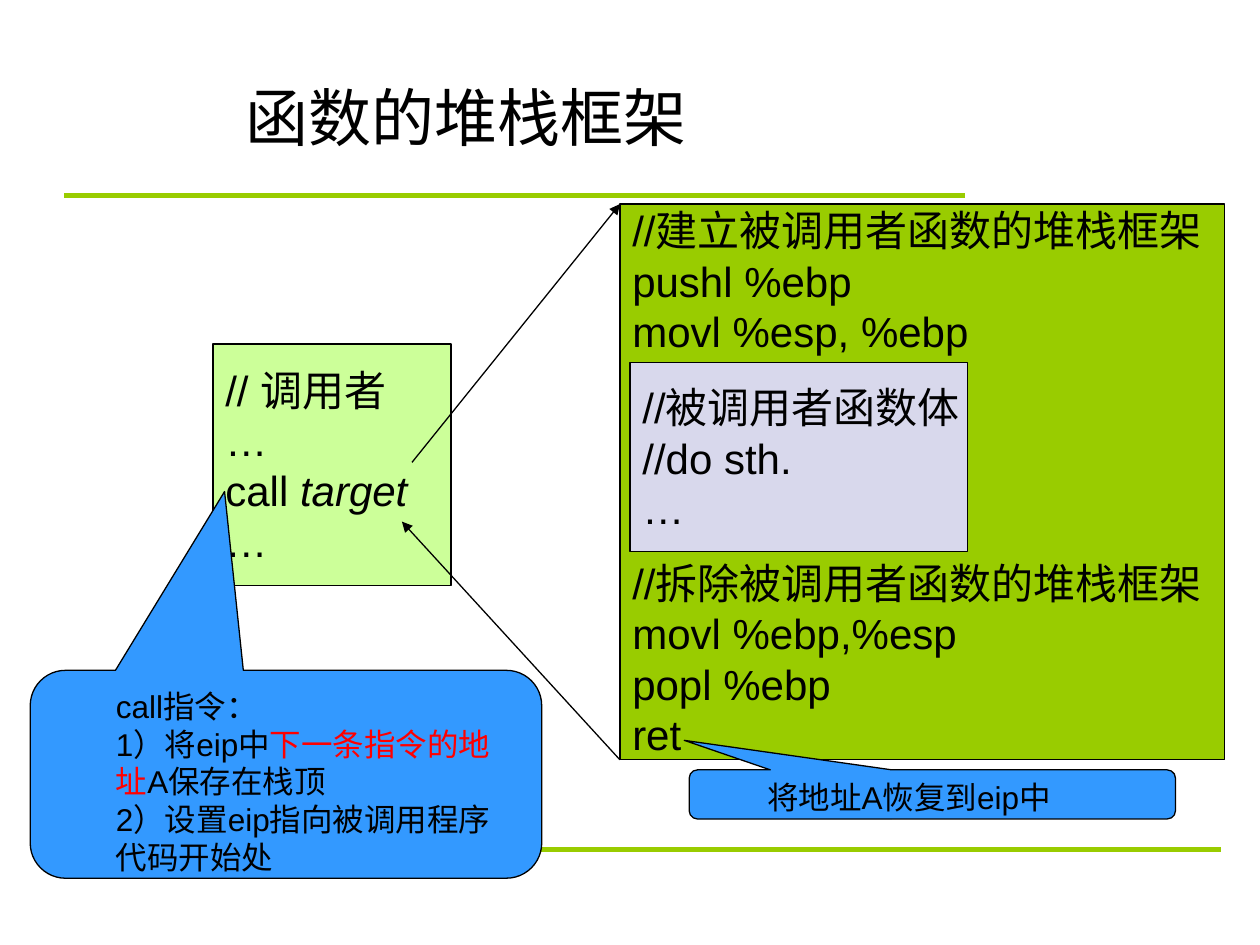
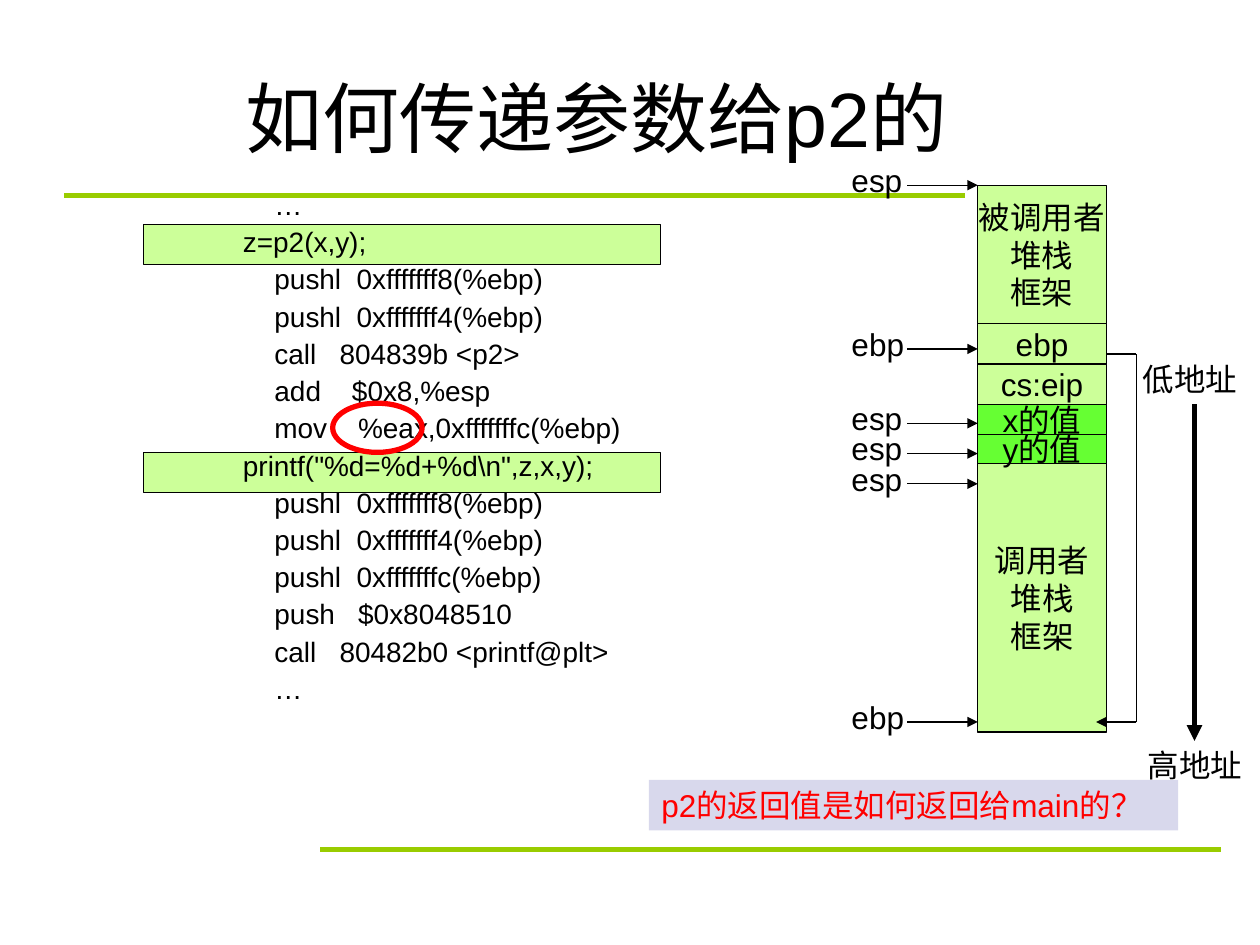
from dataclasses import dataclass
from itertools import pairwise
from typing import Any, NamedTuple

from lxml import etree
from pptx import Presentation
from pptx.dml.color import RGBColor
from pptx.enum.shapes import MSO_CONNECTOR, MSO_SHAPE
from pptx.enum.text import MSO_ANCHOR, MSO_AUTO_SIZE, PP_ALIGN
from pptx.oxml.ns import qn
from pptx.slide import Slide
from pptx.util import Inches, Pt

RECTANGLE = MSO_SHAPE.RECTANGLE
ELLIPSE = MSO_SHAPE.OVAL
CALLOUT = MSO_SHAPE.ROUNDED_RECTANGULAR_CALLOUT
STRAIGHT = MSO_CONNECTOR.STRAIGHT
TOP, MIDDLE = MSO_ANCHOR.TOP, MSO_ANCHOR.MIDDLE
LEFT, CENTER = PP_ALIGN.LEFT, PP_ALIGN.CENTER
FIT_SHAPE, FIXED = MSO_AUTO_SIZE.SHAPE_TO_FIT_TEXT, MSO_AUTO_SIZE.NONE

FONT = "Arial"
BLACK, RED = "000000", "FF0000"
GREEN, PALE_GREEN, BRIGHT_GREEN = "99CC00", "CCFF99", "66FF33"
BLUE, LAVENDER = "3399FF", "D8D8EC"


class Span(NamedTuple):
    text: str
    color: str = BLACK
    italic: bool = False


class Line(NamedTuple):
    spans: tuple[Span, ...]
    indent: float = 0
    space_before: float = 0
    line_spacing: float = 1.0


class Pointer(NamedTuple):
    register: str
    top: float


class StackCell(NamedTuple):
    height: float
    texts: tuple[str, ...]
    fill: str = PALE_GREEN


@dataclass(frozen=True)
class Panel:
    left: float
    top: float
    width: float
    height: float
    lines: tuple[Line, ...] = ()
    fill: str | None = None
    outline: str | None = BLACK
    weight: float = 0.75
    kind: Any = RECTANGLE
    size: float = 18
    align: Any = LEFT
    anchor: Any = MIDDLE
    wrap: bool = False
    fit: Any = FIXED
    adjustments: tuple[float, ...] = ()


@dataclass(frozen=True)
class Stroke:
    start: tuple[float, float]
    end: tuple[float, float]
    color: str = BLACK
    weight: float = 0.75
    arrow: bool = False


RULES = (
    Stroke((0.51, 1.55), (7.66, 1.55), GREEN, 3),
    Stroke((2.54, 6.74), (9.69, 6.74), GREEN, 3),
)

CODE = r"""
    …
z=p2(x,y);
    pushl  0xfffffff8(%ebp)
    pushl  0xfffffff4(%ebp)
    call   804839b <p2>
    add    $0x8,%esp
    mov    %eax,0xfffffffc(%ebp)
printf("%d=%d+%d\n",z,x,y);
    pushl  0xfffffff8(%ebp)
    pushl  0xfffffff4(%ebp)
    pushl  0xfffffffc(%ebp)
    push   $0x8048510
    call   80482b0 <printf@plt>
    …
""".strip("\n").split("\n")

STACK_LEFT, STACK_BOTTOM, STACK_WIDTH = 7.76, 5.81, 1.02
STACK_RIGHT = STACK_LEFT + STACK_WIDTH
STACK = (
    StackCell(1.1, ("被调用者", "堆栈", "框架")),
    StackCell(0.32, ("ebp",)),
    StackCell(0.32, ("cs:eip",)),
    StackCell(0.24, ("x的值",), BRIGHT_GREEN),
    StackCell(0.23, ("y的值",), BRIGHT_GREEN),
    StackCell(2.13, ("调用者", "堆栈", "框架")),
)
POINTERS = (
    Pointer("esp", 1.47),
    Pointer("ebp", 2.77),
    Pointer("esp", 3.36),
    Pointer("esp", 3.6),
    Pointer("esp", 3.84),
    Pointer("ebp", 5.73),
)
SAVED_EBP_ROUTE = ((STACK_RIGHT, 2.81), (9.02, 2.81), (9.02, 5.73), (8.7, 5.73))


def rgb(value: str) -> RGBColor:
    return RGBColor.from_string(value)


def plain(*texts: str, color: str = BLACK, indent: float = 0) -> tuple[Line, ...]:
    return tuple(Line((Span(text, color),), indent) for text in texts)


def apply(target: Any, values: dict[str, Any]) -> None:
    for name, value in values.items():
        setattr(target, name, value)


def write_lines(shape: Any, panel: Panel) -> None:
    frame = shape.text_frame
    apply(frame, {
        "word_wrap": panel.wrap,
        "auto_size": panel.fit,
        "vertical_anchor": panel.anchor,
    })
    for index, line in enumerate(panel.lines):
        paragraph = frame.add_paragraph() if index else frame.paragraphs[0]
        apply(paragraph, {
            "alignment": panel.align,
            "space_before": Pt(line.space_before),
            "line_spacing": line.line_spacing,
        })
        if line.indent:
            properties = paragraph._p.get_or_add_pPr()
            properties.set("marL", str(Inches(line.indent)))
            properties.set("indent", "0")
        for span in line.spans:
            run = paragraph.add_run()
            run.text = span.text
            apply(run.font, {"name": FONT, "size": Pt(panel.size), "italic": span.italic})
            run.font.color.rgb = rgb(span.color)


def draw_panel(slide: Slide, panel: Panel) -> None:
    box = [Inches(n) for n in (panel.left, panel.top, panel.width, panel.height)]
    if panel.kind is None:
        shape = slide.shapes.add_textbox(*box)
    else:
        shape = slide.shapes.add_shape(panel.kind, *box)
        shape.shadow.inherit = False
        for index, value in enumerate(panel.adjustments):
            shape.adjustments[index] = value
        if panel.fill:
            shape.fill.solid()
            shape.fill.fore_color.rgb = rgb(panel.fill)
        else:
            shape.fill.background()
        if panel.outline:
            shape.line.color.rgb = rgb(panel.outline)
            shape.line.width = Pt(panel.weight)
        else:
            shape.line.fill.background()
    if panel.lines:
        write_lines(shape, panel)


def draw_stroke(slide: Slide, stroke: Stroke) -> None:
    ends = [Inches(n) for n in (*stroke.start, *stroke.end)]
    connector = slide.shapes.add_connector(STRAIGHT, *ends)
    connector.line.color.rgb = rgb(stroke.color)
    connector.line.width = Pt(stroke.weight)
    properties = connector._element.spPr
    if stroke.arrow:
        etree.SubElement(properties.find(qn("a:ln")), qn("a:tailEnd"), type="triangle")
    etree.SubElement(properties, qn("a:effectLst"))


def draw_label(slide: Slide, text: str, left: float, top: float, width: float) -> None:
    draw_panel(slide, Panel(left, top, width, 0.4, plain(text), kind=None,
                            anchor=TOP, fit=FIT_SHAPE))


def add_titled_slide(presentation: Any, title: str, size: float) -> Slide:
    slide = presentation.slides.add_slide(presentation.slide_layouts[6])
    for rule in RULES:
        draw_stroke(slide, rule)
    draw_panel(slide, Panel(1.85, 0.3, 7.65, 1.25, plain(title), kind=None,
                            size=size, wrap=True))
    return slide


def build_frame_slide(presentation: Any) -> None:
    slide = add_titled_slide(presentation, "函数的堆栈框架", 36)
    caller = (
        *plain("// 调用者", "…"),
        Line((Span("call "), Span("target", italic=True))),
        *plain("…"),
    )
    callee = (
        *plain("//建立被调用者函数的堆栈框架", "pushl %ebp", "movl %esp, %ebp"),
        Line((Span("//拆除被调用者函数的堆栈框架"),), space_before=115),
        *plain("movl %ebp,%esp", "popl %ebp", "ret"),
    )
    body = plain("//被调用者函数体", "//do sth.", "…")
    call_steps = (
        *plain("call指令：", indent=0.5),
        Line((Span("1）将eip中"), Span("下一条指令的地址", RED), Span("A保存在栈顶")), 0.5),
        *plain("2）设置eip指向被调用程序代码开始处", indent=0.5),
    )
    return_step = plain("将地址A恢复到eip中", indent=0.5)

    draw_panel(slide, Panel(1.69, 2.73, 1.89, 1.92, caller, PALE_GREEN, size=24))
    draw_panel(slide, Panel(4.92, 1.62, 4.8, 4.41, callee, GREEN, size=24))
    draw_panel(slide, Panel(5, 2.88, 2.68, 1.5, body, LAVENDER, size=24))
    draw_stroke(slide, Stroke((3.27, 3.67), (4.92, 1.62), arrow=True))
    draw_stroke(slide, Stroke((4.92, 6.03), (3.19, 4.14), arrow=True))
    draw_panel(slide, Panel(0.24, 5.32, 4.06, 1.65, call_steps, BLUE, kind=CALLOUT,
                            anchor=TOP, wrap=True, adjustments=(-0.12, -1.36, 0.17)))
    draw_panel(slide, Panel(5.47, 6.11, 3.86, 0.39, return_step, BLUE, kind=CALLOUT,
                            anchor=TOP, wrap=True, adjustments=(-0.51, -1.1, 0.17)))


def draw_stack(slide: Slide) -> None:
    top = STACK_BOTTOM
    for cell in reversed(STACK):
        top -= cell.height
        draw_panel(slide, Panel(STACK_LEFT, top, STACK_WIDTH, cell.height,
                                plain(*cell.texts), cell.fill, align=CENTER))
    for pointer in POINTERS:
        draw_stroke(slide, Stroke((7.2, pointer.top), (STACK_LEFT, pointer.top), arrow=True))
        draw_label(slide, pointer.register, 6.66, pointer.top - 0.24, 0.64)
    for start, end in pairwise(SAVED_EBP_ROUTE):
        draw_stroke(slide, Stroke(start, end, arrow=end == SAVED_EBP_ROUTE[-1]))


def build_parameter_slide(presentation: Any) -> None:
    slide = add_titled_slide(presentation, "如何传递参数给p2的", 44)
    for statement_top in (1.78, 3.59):
        draw_panel(slide, Panel(1.14, statement_top, 4.1, 0.32, fill=PALE_GREEN))
    code_lines = tuple(
        Line((Span(text.strip()),), 1.25 if text.startswith(" ") else 1, 4, 0.9)
        for text in CODE
    )
    draw_panel(slide, Panel(0.83, 1.47, 8.75, 5.35, code_lines, kind=None, size=16,
                            anchor=TOP, wrap=True))
    question = plain("p2的返回值是如何返回给main的？", color=RED)
    draw_panel(slide, Panel(5.15, 6.19, 4.2, 0.4, question, LAVENDER, None,
                            anchor=TOP, fit=FIT_SHAPE))
    draw_stack(slide)
    draw_stroke(slide, Stroke((9.48, 3.21), (9.48, 5.88), weight=3, arrow=True))
    draw_label(slide, "高地址", 9.01, 5.87, 0.95)
    draw_label(slide, "低地址", 8.97, 2.81, 0.95)
    draw_panel(slide, Panel(2.64, 3.2, 0.71, 0.39, outline=RED, weight=3, kind=ELLIPSE))


def main() -> None:
    presentation = Presentation()
    apply(presentation, {"slide_width": Inches(10), "slide_height": Inches(7.5)})
    build_frame_slide(presentation)
    build_parameter_slide(presentation)
    presentation.save("out.pptx")


if __name__ == "__main__":
    main()
